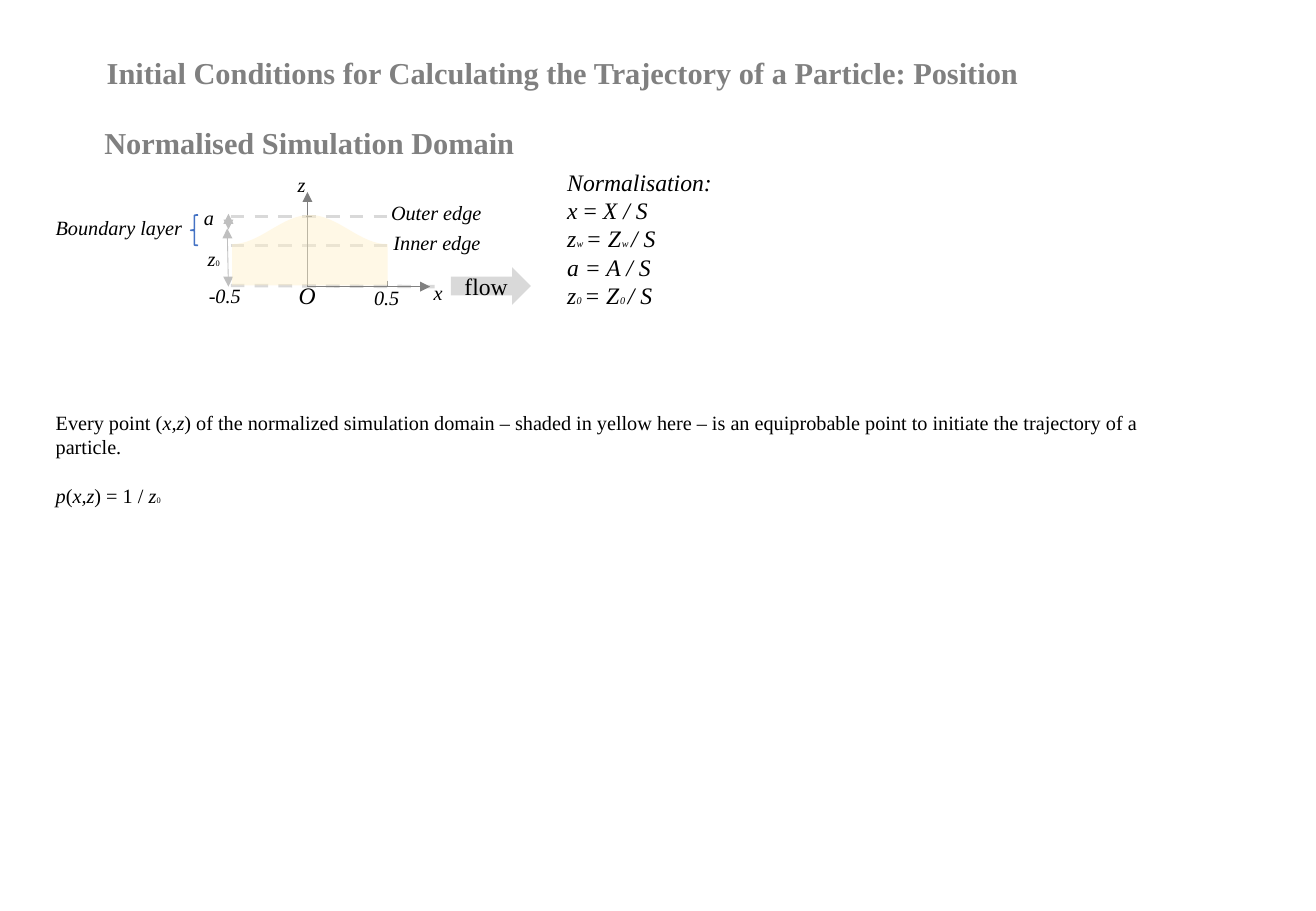
"""Build the slide on the normalised simulation domain and its initial positions."""
import math
from dataclasses import dataclass

import lxml.etree
import pptx
import pptx.dml.color
import pptx.enum.dml
import pptx.enum.shapes
import pptx.enum.text
import pptx.oxml.ns
import pptx.shapes.base
import pptx.slide
import pptx.text.text
import pptx.util

SLIDE_WIDTH = pptx.util.Inches(10.83)
SLIDE_HEIGHT = pptx.util.Inches(7.5)
COLUMNS, ROWS = 108.3, 75
FONT = "Times New Roman"

BLACK = pptx.dml.color.RGBColor(0x00, 0x00, 0x00)
GREY = pptx.dml.color.RGBColor(0x80, 0x80, 0x80)
MID_GREY = pptx.dml.color.RGBColor(0xBF, 0xBF, 0xBF)
LIGHT_GREY = pptx.dml.color.RGBColor(0xD9, 0xD9, 0xD9)
BLUE = pptx.dml.color.RGBColor(0x44, 0x72, 0xC4)
YELLOW = pptx.dml.color.RGBColor(0xFF, 0xF2, 0xCC)

DOMAIN_LEFT, DOMAIN_RIGHT = 19.1, 31.9
ORIGIN = 25.3
OUTER_EDGE, INNER_EDGE, FLOOR = 17.8, 20.2, 23.6
CURVE_STEPS = 32


@dataclass(frozen=True)
class Span:
    text: str
    italic: bool = True
    size: float | None = None
    spacing: float = 0


@dataclass(frozen=True)
class TextBlock:
    left: float
    top: float
    width: float
    height: float
    paragraphs: tuple[tuple[Span, ...], ...]
    size: float = 12
    color: pptx.dml.color.RGBColor = BLACK
    bold: bool = False
    wrap: bool = False
    gap: float = 0


@dataclass(frozen=True)
class Line:
    start: tuple[float, float]
    end: tuple[float, float]
    color: pptx.dml.color.RGBColor = GREY
    weight: float = 0.5
    dashed: bool = False
    head: bool = False
    tail: bool = False


def label(left: float, top: float, width: float, *spans: Span, size: float = 12) -> TextBlock:
    return TextBlock(left, top, width, 3.4 if size > 12 else 3, (spans,), size)


def heading(left: float, top: float, width: float, text: str, wrap: bool) -> TextBlock:
    return TextBlock(left, top, width, 4, ((Span(text, False),),), 18, GREY, True, wrap)


def scaled(name: str, subscript: str) -> tuple[Span, ...]:
    small = Span(f"{subscript} ", size=6)
    return (Span(name, spacing=0.1), small, Span("= "),
            Span(name.upper(), spacing=0.5), small, Span("/ S"))


Z_ZERO = (Span("z", spacing=0.1), Span("0", False, 5))

LINES = (
    Line((19, 23.5), (35.8, FLOOR), LIGHT_GREY, 2, dashed=True),
    Line((19, INNER_EDGE), (DOMAIN_RIGHT, INNER_EDGE), LIGHT_GREY, 2, dashed=True),
    Line((19, OUTER_EDGE), (DOMAIN_RIGHT, OUTER_EDGE), LIGHT_GREY, 2, dashed=True),
    Line((ORIGIN, FLOOR), (ORIGIN, 15.8), tail=True),
    Line((ORIGIN, FLOOR), (35.4, FLOOR), tail=True),
    Line((DOMAIN_RIGHT, 23.1), (DOMAIN_RIGHT, FLOOR)),
    Line((25.2, OUTER_EDGE), (25.7, OUTER_EDGE)),
    Line((18.8, FLOOR), (18.7, 18.8), MID_GREY, head=True, tail=True),
    Line((18.8, 18.9), (18.8, 17.6), MID_GREY, head=True, tail=True),
)

TEXT_BLOCKS = (
    heading(7.8, 4, 99.7, "Initial Conditions for Calculating the Trajectory of a Particle: Position", True),
    heading(7.6, 9.7, 36.1, "Normalised Simulation Domain", False),
    TextBlock(45.7, 13.3, 21.6, 13.1, (
        (Span("Normalisation:"),),
        (Span("x"), Span(" = ", False), Span("X / S")),
        scaled("z", "w"),
        (Span("a = A / S"),),
        scaled("z", "0"),
    ), 14, wrap=True),
    label(34.7, 22.6, 2.9, Span("x")),
    label(23.5, 13.7, 2.8, Span("z")),
    label(23.6, 22.6, 3.4, Span("O"), size=14),
    label(29.8, 23, 4.1, Span("0.5")),
    label(16.2, 22.8, 4.7, Span("-0.5")),
    label(16.1, 19.8, 3, *Z_ZERO),
    label(15.8, 16.4, 2.9, Span("a")),
    label(3.6, 17.2, 12.6, Span("Boundary layer")),
    label(31.2, 16, 9.6, Span("Outer edge")),
    label(31.4, 18.5, 9.3, Span("Inner edge")),
    TextBlock(3.6, 33.3, 93.9, 14, (
        (Span("Every point (", False), Span("x,z"),
         Span(") of the normalized simulation domain – shaded in yellow here – is an "
              "equiprobable point to initiate the trajectory of a particle.", False)),
        (Span("p"), Span("(", False), Span("x,z"), Span(") = 1 / ", False), *Z_ZERO),
    ), wrap=True, gap=14.4),
)


def across(columns: float) -> int:
    return round(SLIDE_WIDTH * columns / COLUMNS)


def down(rows: float) -> int:
    return round(SLIDE_HEIGHT * rows / ROWS)


def add_span(para: pptx.text.text._Paragraph, span: Span, block: TextBlock) -> None:
    run = para.add_run()
    run.text = span.text
    run.font.name = FONT
    run.font.size = pptx.util.Pt(span.size or block.size)
    run.font.italic = span.italic
    run.font.bold = block.bold
    run.font.color.rgb = block.color
    if span.spacing:
        run._r.get_or_add_rPr().set("spc", str(round(span.spacing * 100)))


def add_text(page: pptx.slide.Slide, block: TextBlock) -> None:
    box = page.shapes.add_textbox(across(block.left), down(block.top), across(block.width), down(block.height))
    frame = box.text_frame
    frame.word_wrap = block.wrap
    frame.auto_size = pptx.enum.text.MSO_AUTO_SIZE.SHAPE_TO_FIT_TEXT
    for index, spans in enumerate(block.paragraphs):
        para = frame.add_paragraph() if index else frame.paragraphs[0]
        if index and block.gap:
            para.space_before = pptx.util.Pt(block.gap)
        for span in spans:
            add_span(para, span, block)


def add_line(page: pptx.slide.Slide, line: Line) -> None:
    connector = page.shapes.add_connector(
        pptx.enum.shapes.MSO_CONNECTOR.STRAIGHT,
        across(line.start[0]), down(line.start[1]), across(line.end[0]), down(line.end[1]))
    connector.line.color.rgb = line.color
    connector.line.width = pptx.util.Pt(line.weight)
    if line.dashed:
        connector.line.dash_style = pptx.enum.dml.MSO_LINE.DASH
    for tag, wanted in (("a:headEnd", line.head), ("a:tailEnd", line.tail)):
        if wanted:
            lxml.etree.SubElement(connector.line._get_or_add_ln(), pptx.oxml.ns.qn(tag), type="triangle")
    lxml.etree.SubElement(connector._element.spPr, pptx.oxml.ns.qn("a:effectLst"))


def fill_plain(shape: pptx.shapes.base.BaseShape, color: pptx.dml.color.RGBColor) -> None:
    shape.shadow.inherit = False
    shape.fill.solid()
    shape.fill.fore_color.rgb = color
    shape.line.fill.background()


def add_domain(page: pptx.slide.Slide) -> None:
    points = [(across(DOMAIN_LEFT), down(23.5))]
    for step in range(CURVE_STEPS + 1):
        share = step / CURVE_STEPS
        bump = (1 - math.cos(2 * math.pi * share)) / 2
        points.append((across(DOMAIN_LEFT + share * (DOMAIN_RIGHT - DOMAIN_LEFT)), down(20.1 - 2.4 * bump)))
    points.append((across(DOMAIN_RIGHT), down(23.5)))
    builder = page.shapes.build_freeform(*points[0])
    builder.add_line_segments(points[1:], close=True)
    domain = builder.convert_to_shape()
    fill_plain(domain, YELLOW)
    color = domain._element.spPr.find(".//" + pptx.oxml.ns.qn("a:srgbClr"))
    lxml.etree.SubElement(color, pptx.oxml.ns.qn("a:alpha"), val="48000")


def add_flow_arrow(page: pptx.slide.Slide) -> None:
    arrow = page.shapes.add_shape(
        pptx.enum.shapes.MSO_SHAPE.RIGHT_ARROW, across(37.1), down(22), across(6.6), down(3.1))
    fill_plain(arrow, LIGHT_GREY)
    arrow.text_frame.vertical_anchor = pptx.enum.text.MSO_ANCHOR.MIDDLE
    para = arrow.text_frame.paragraphs[0]
    para.alignment = pptx.enum.text.PP_ALIGN.CENTER
    add_span(para, Span("flow", False), TextBlock(0, 0, 0, 0, (), 14))


def add_layer_brace(page: pptx.slide.Slide) -> None:
    brace = page.shapes.add_shape(
        pptx.enum.shapes.MSO_SHAPE.LEFT_BRACE, across(15.7), down(17.7), across(0.6), down(2.5))
    brace.shadow.inherit = False
    brace.fill.background()
    brace.line.color.rgb = BLUE
    brace.line.width = pptx.util.Pt(1)


def main() -> None:
    deck = pptx.Presentation()
    deck.slide_width, deck.slide_height = SLIDE_WIDTH, SLIDE_HEIGHT
    page = deck.slides.add_slide(deck.slide_layouts[6])
    for line in LINES:
        add_line(page, line)
    add_domain(page)
    add_flow_arrow(page)
    add_layer_brace(page)
    for block in TEXT_BLOCKS:
        add_text(page, block)
    deck.save("out.pptx")


if __name__ == "__main__":
    main()
